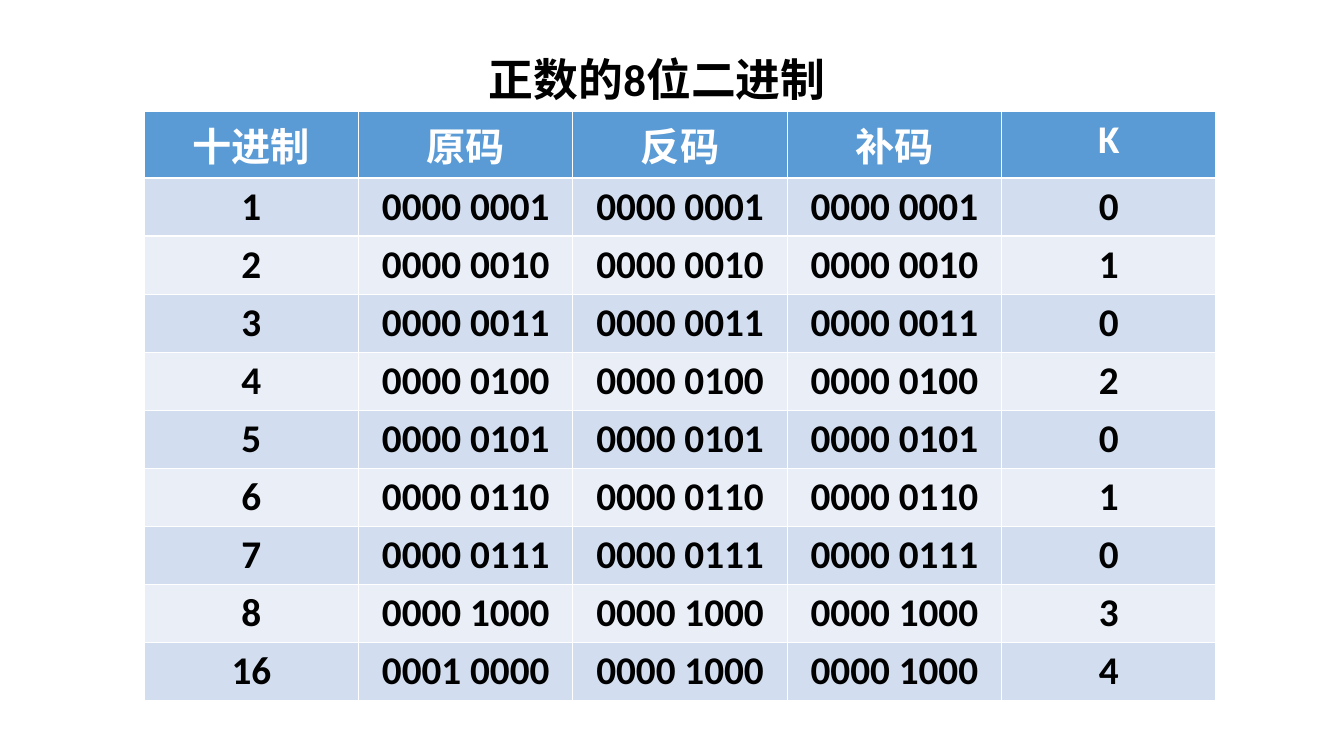
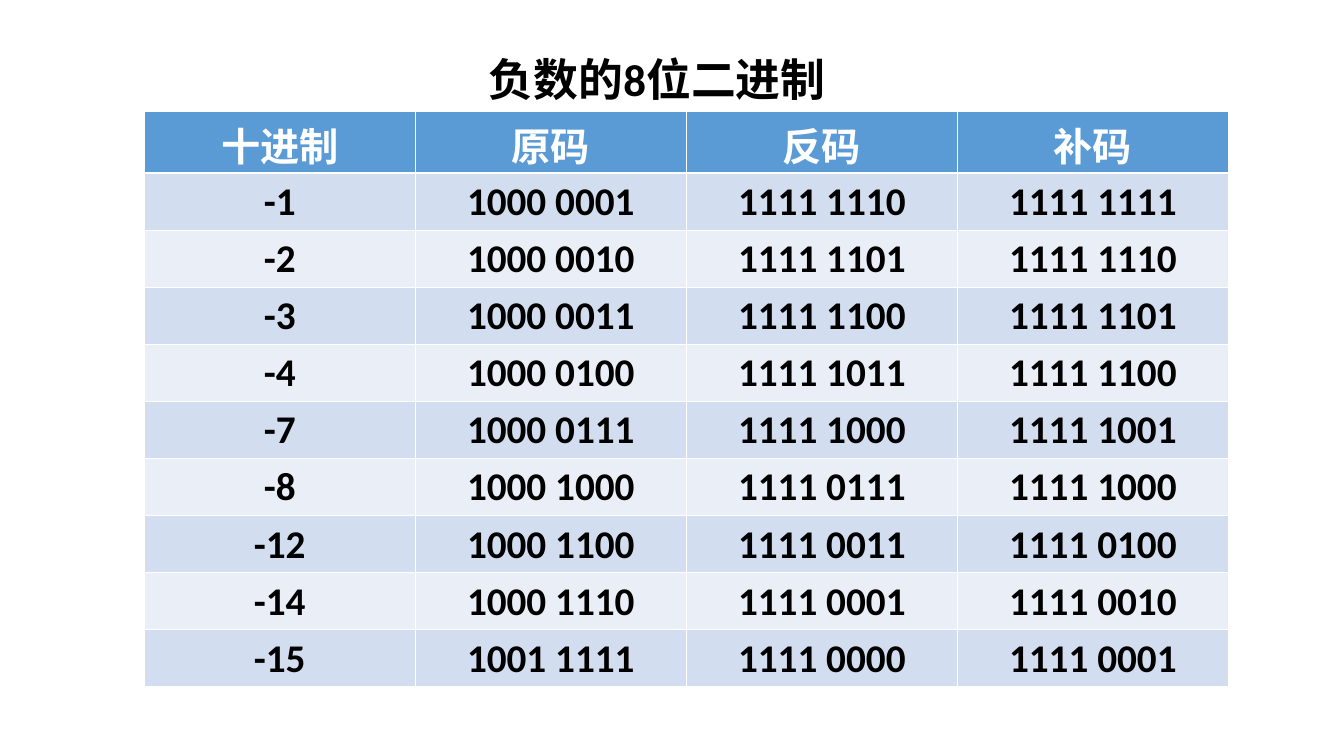
"""Build two slides that tabulate 8-bit binary codes."""
from dataclasses import dataclass

import pptx
import pptx.dml.color
import pptx.enum.text
import pptx.presentation
import pptx.slide
import pptx.table
import pptx.util

Pt = pptx.util.Pt
Color = pptx.dml.color.RGBColor


@dataclass(frozen=True)
class Theme:
    font: str = "Calibri"
    title_size: float = 32
    table_size: float = 28
    text: Color = Color(0x00, 0x00, 0x00)
    header_text: Color = Color(0xFF, 0xFF, 0xFF)
    header_fill: Color = Color(0x5B, 0x9B, 0xD5)
    bands: tuple[Color, Color] = (Color(0xD2, 0xDE, 0xEF), Color(0xEA, 0xEF, 0xF7))


@dataclass(frozen=True)
class Box:
    left: float
    top: float
    width: float
    height: float


@dataclass(frozen=True)
class CodeTable:
    title: str
    header: tuple[str, ...]
    rows: tuple[tuple[str, ...], ...]
    width: float
    header_height: float
    row_height: float
    bottom_margin: float


THEME = Theme()
TITLE_BOX = Box(281, 33, 377, 46)
TABLE_LEFT, TABLE_TOP = 103, 79.5
CODE_HEADER = ("十进制", "原码", "反码", "补码")

POSITIVE = CodeTable(
    "正数的8位二进制",
    (*CODE_HEADER, "K"),
    (
        ("1", "0000 0001", "0000 0001", "0000 0001", "0"),
        ("2", "0000 0010", "0000 0010", "0000 0010", "1"),
        ("3", "0000 0011", "0000 0011", "0000 0011", "0"),
        ("4", "0000 0100", "0000 0100", "0000 0100", "2"),
        ("5", "0000 0101", "0000 0101", "0000 0101", "0"),
        ("6", "0000 0110", "0000 0110", "0000 0110", "1"),
        ("7", "0000 0111", "0000 0111", "0000 0111", "0"),
        ("8", "0000 1000", "0000 1000", "0000 1000", "3"),
        ("16", "0001 0000", "0000 1000", "0000 1000", "4"),
    ),
    width=765.5, header_height=47, row_height=41.4, bottom_margin=3.6,
)
NEGATIVE = CodeTable(
    "负数的8位二进制",
    CODE_HEADER,
    (
        ("-1", "1000 0001", "1111 1110", "1111 1111"),
        ("-2", "1000 0010", "1111 1101", "1111 1110"),
        ("-3", "1000 0011", "1111 1100", "1111 1101"),
        ("-4", "1000 0100", "1111 1011", "1111 1100"),
        ("-7", "1000 0111", "1111 1000", "1111 1001"),
        ("-8", "1000 1000", "1111 0111", "1111 1000"),
        ("-12", "1000 1100", "1111 0011", "1111 0100"),
        ("-14", "1000 1110", "1111 0001", "1111 0010"),
        ("-15", "1001 1111", "1111 0000", "1111 0001"),
    ),
    width=774.5, header_height=40.8, row_height=40.8, bottom_margin=0,
)


def write_text(frame: pptx.text.text.TextFrame, text: str, size: float, color: Color) -> None:
    frame.text = text
    para = frame.paragraphs[0]
    para.alignment = pptx.enum.text.PP_ALIGN.CENTER
    para.font.name = THEME.font
    para.font.size = Pt(size)
    para.font.bold = True
    para.font.color.rgb = color


def draw_title(page: pptx.slide.Slide, text: str) -> None:
    title = page.shapes.title
    title.left, title.top = Pt(TITLE_BOX.left), Pt(TITLE_BOX.top)
    title.width, title.height = Pt(TITLE_BOX.width), Pt(TITLE_BOX.height)
    frame = title.text_frame
    frame.word_wrap = True
    frame.auto_size = pptx.enum.text.MSO_AUTO_SIZE.NONE
    frame.vertical_anchor = pptx.enum.text.MSO_ANCHOR.MIDDLE
    write_text(frame, text, THEME.title_size, THEME.text)


def draw_row(table: pptx.table.Table, index: int, values: tuple[str, ...],
             bottom_margin: float) -> None:
    is_header = index == 0
    fill = THEME.header_fill if is_header else THEME.bands[(index - 1) % 2]
    color = THEME.header_text if is_header else THEME.text
    for column, value in enumerate(values):
        cell = table.cell(index, column)
        cell.fill.solid()
        cell.fill.fore_color.rgb = fill
        cell.margin_bottom = Pt(bottom_margin)
        write_text(cell.text_frame, value, THEME.table_size, color)


def draw_table(page: pptx.slide.Slide, codes: CodeTable) -> None:
    rows = (codes.header, *codes.rows)
    height = codes.header_height + codes.row_height * len(codes.rows)
    table = page.shapes.add_table(
        len(rows), len(codes.header),
        Pt(TABLE_LEFT), Pt(TABLE_TOP), Pt(codes.width), Pt(height),
    ).table
    for index, values in enumerate(rows):
        table.rows[index].height = Pt(codes.row_height if index else codes.header_height)
        draw_row(table, index, values, codes.bottom_margin)


def add_code_page(deck: pptx.presentation.Presentation, codes: CodeTable) -> None:
    page = deck.slides.add_slide(deck.slide_layouts.get_by_name("Title Only"))
    draw_title(page, codes.title)
    draw_table(page, codes)


def main() -> None:
    deck = pptx.Presentation()
    deck.slide_width, deck.slide_height = Pt(960), Pt(540)
    for codes in (POSITIVE, NEGATIVE):
        add_code_page(deck, codes)
    deck.save("out.pptx")


if __name__ == "__main__":
    main()
